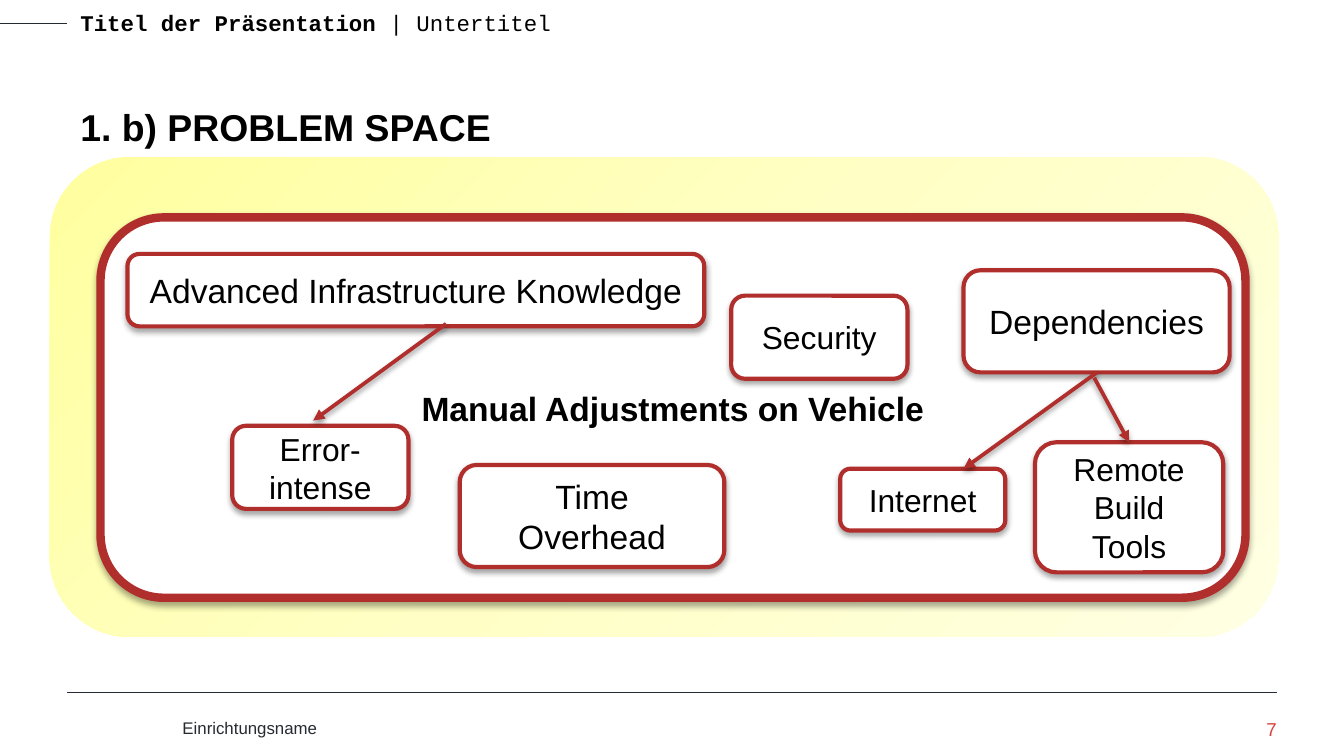
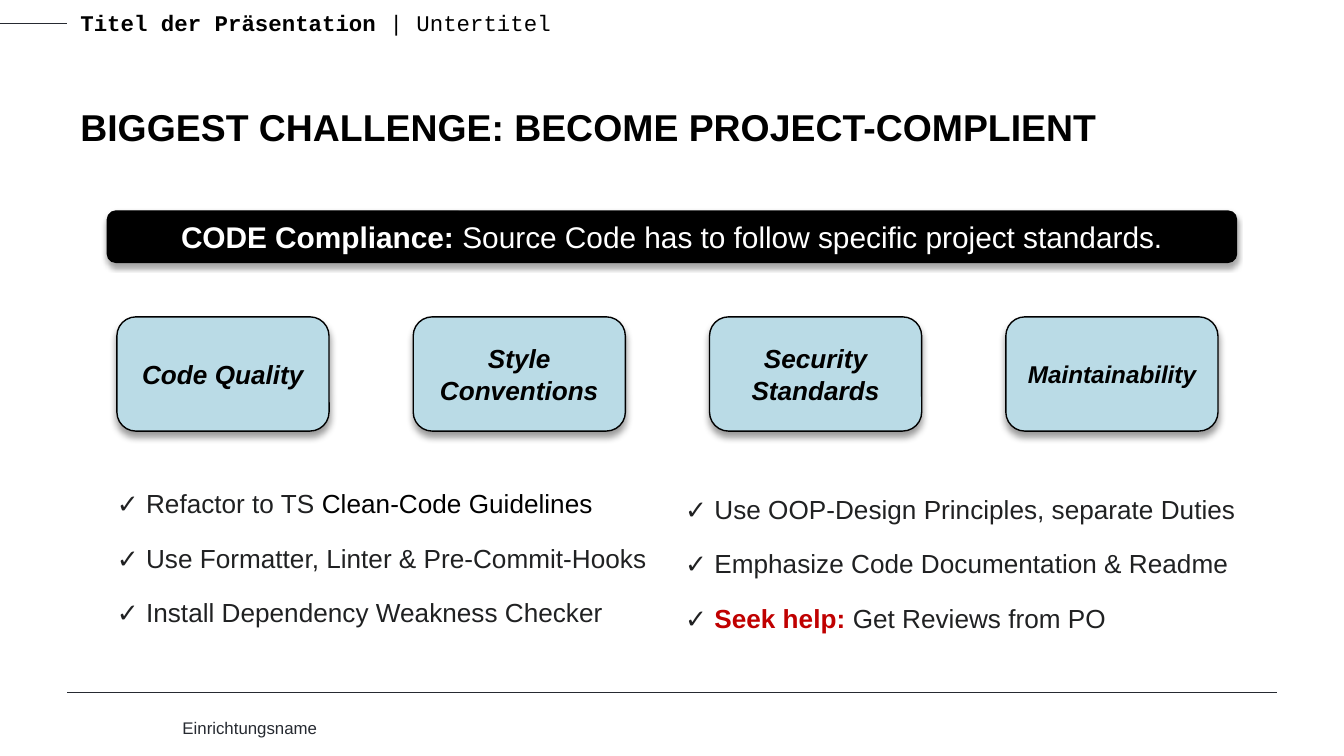
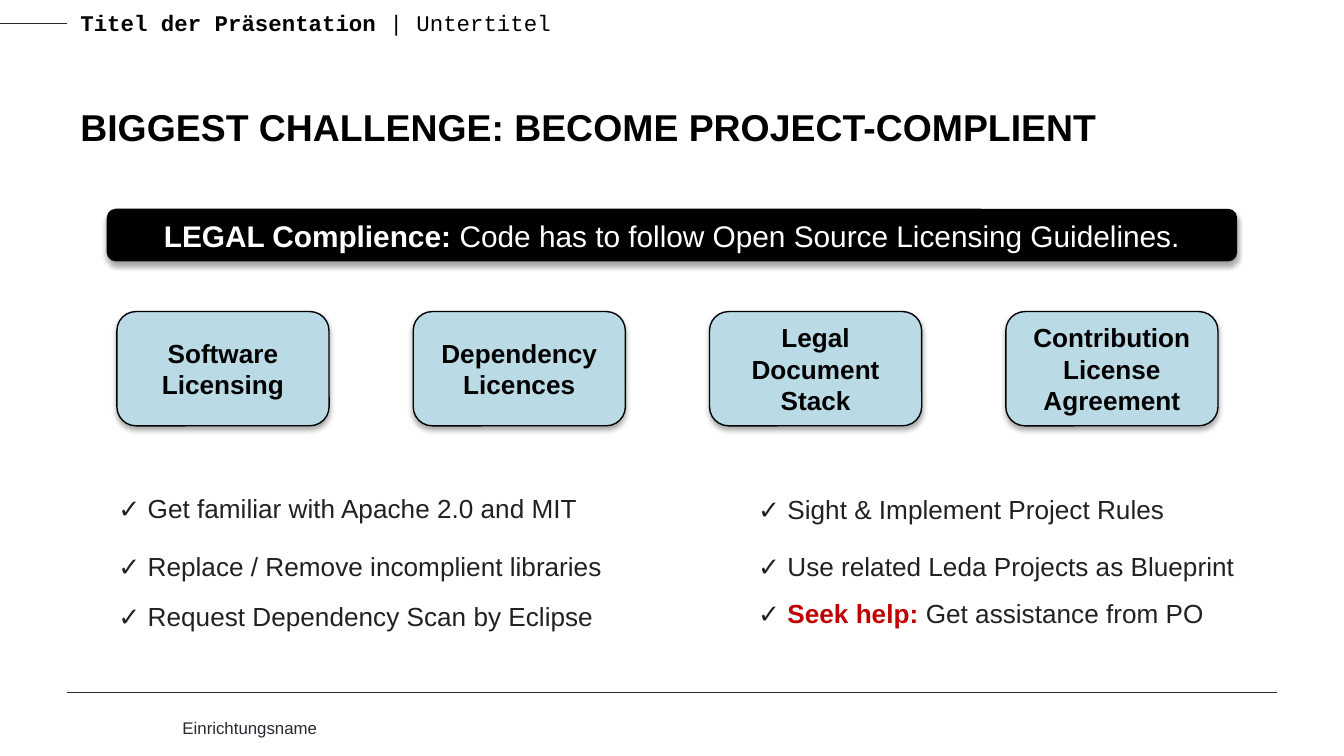
import copy

import lxml.etree
import pptx
import pptx.dml.color
import pptx.enum.shapes
import pptx.enum.text
import pptx.oxml.ns
import pptx.util

Cm = pptx.util.Cm
Pt = pptx.util.Pt
qn = pptx.oxml.ns.qn
ALIGN = pptx.enum.text.PP_ALIGN
ANCHOR = pptx.enum.text.MSO_ANCHOR

BLACK, WHITE, INK, BODY = "000000", "FFFFFF", "262A31", "202122"
RED, DARK_RED, ALERT, CARD_BLUE = "D8413E", "B02F2C", "C00000", "BADBE6"
GLOW = [(0, "FFFFA0"), (0.5, "FFFFC5"), (1, "FFFFE3")]

# Shadows: opacity in percent, blur and distance in points
SOFT_SHADOW = (35, 3.1, 1.8)
DEEP_SHADOW = (40, 4, 3)
ARROW_SHADOW = (38, 3.1, 1.6)

# Boxes are left, top, width, height in centimetres
PROBLEM_TITLE = "1. b) PROBLEM SPACE"
PROBLEM_NUMBER = "7"
GLOW_BOX = (0.94, 2.97, 23.22, 9.07)
FRAME = ("Manual Adjustments on Vehicle", (1.9, 4.11, 21.64, 7.19))
PROBLEMS = [  # text, font size, box
    ("Advanced Infrastructure Knowledge", 18, (2.41, 4.8, 10.9, 1.37)),
    ("Time Overhead", 18, (8.69, 8.79, 5, 1.93)),
    ("Error-intense", 17, (4.39, 8.05, 3.33, 1.57)),
    ("Dependencies", 18, (18.21, 5.11, 5.03, 1.93)),
    ("Internet", 17, (15.88, 8.86, 3.12, 1.17)),
    ("Remote Build Tools", 17, (19.56, 8.36, 3.56, 2.46)),
    ("Security", 17, (13.82, 5.59, 3.33, 1.57)),
]
ARROWS = [
    ((20.73, 7.04), (18.21, 8.86)),
    ((20.68, 7.14), (21.34, 8.36)),
    ((8.43, 6.12), (5.92, 7.95)),
]

CHALLENGE_TITLE = "BIGGEST CHALLENGE: BECOME PROJECT-COMPLIENT"
CHALLENGES = [
    {
        "banner": ("CODE Compliance: ", "Source Code has to follow specific project standards."),
        "banner_top": 3.99,
        "cards": [("Code Quality", 14), ("Style Conventions", 14),
                  ("Security Standards", 14), ("Maintainability", 13)],
        "card_top": 5.99,
        "italic": True,
        "shadow": DEEP_SHADOW,
        "columns": [  # left, tops of the rows, text runs of the rows
            (2.21, (8.92, 9.96, 10.97), [
                [("Refactor to TS ", False, BODY), ("Clean-Code Guidelines", False, BLACK)],
                [("Use Formatter, Linter & Pre-Commit-Hooks", False, BODY)],
                [("Install Dependency Weakness Checker", False, BODY)],
            ]),
            (12.95, (9.04, 10.06, 11.1), [
                [("Use OOP-Design Principles, separate Duties", False, BODY)],
                [("Emphasize Code Documentation & Readme", False, BODY)],
                [("Seek help: ", True, ALERT), ("Get Reviews from PO", False, BODY)],
            ]),
        ],
    },
    {
        "banner": ("LEGAL Complience: ", "Code has to follow Open Source Licensing Guidelines."),
        "banner_top": 3.96,
        "cards": [("Software Licensing", 14), ("Dependency Licences", 14),
                  ("Legal Document Stack", 14), ("Contribution License Agreement", 14)],
        "card_top": 5.89,
        "italic": False,
        "shadow": SOFT_SHADOW,
        "columns": [
            (2.24, (9.02, 10.11, 11.05), [
                [("Get familiar with Apache 2.0 and MIT", False, BODY)],
                [("Replace / Remove incomplient libraries", False, BODY)],
                [("Request Dependency Scan by Eclipse", False, BODY)],
            ]),
            (14.33, (9.04, 10.11, 11), [
                [("Sight & Implement Project Rules", False, BODY)],
                [("Use related Leda Projects as Blueprint", False, BODY)],
                [("Seek help: ", True, ALERT), ("Get assistance from PO", False, BODY)],
            ]),
        ],
    },
]
CARD_LEFT, CARD_PITCH, CARD_WIDTH, CARD_HEIGHT = 2.21, 5.6, 4.01, 2.16


def rgb(color):
    return pptx.dml.color.RGBColor.from_string(color)


def cm_box(box):
    return [Cm(length) for length in box]


def write(shape, runs, size, font="Arial", italic=False, align=ALIGN.LEFT,
          anchor=ANCHOR.TOP, spacing=None, inset=True):
    """Fill a shape with one paragraph of (text, bold, colour) runs."""
    frame = shape.text_frame
    frame.word_wrap = True
    frame.vertical_anchor = anchor
    if not inset:
        frame.margin_left = frame.margin_top = frame.margin_right = frame.margin_bottom = 0
    paragraph = frame.paragraphs[0]
    paragraph.alignment = align
    paragraph.line_spacing = spacing
    paragraph.font.name = font
    paragraph.font.size = Pt(size)
    paragraph.font.italic = italic
    for text, bold, color in runs:
        run = paragraph.add_run()
        run.text = text
        run.font.bold = bold
        run.font.color.rgb = rgb(color)


def add_text(slide, box, runs, size, **style):
    write(slide.shapes.add_textbox(*cm_box(box)), runs, size, **style)


def cast_shadow(effects, opacity, blur, distance):
    shadow = lxml.etree.SubElement(
        effects, qn("a:outerShdw"), blurRad=str(Pt(blur)), dist=str(Pt(distance)),
        dir="5400000", rotWithShape="0")
    color = lxml.etree.SubElement(shadow, qn("a:srgbClr"), val=BLACK)
    lxml.etree.SubElement(color, qn("a:alpha"), val=str(opacity * 1000))


def add_rounded(slide, box):
    shape = slide.shapes.add_shape(
        pptx.enum.shapes.MSO_SHAPE.ROUNDED_RECTANGLE, *cm_box(box))
    shape.shadow.inherit = False
    return shape


def add_box(slide, box, runs, size, fill, line, line_width, shadow=SOFT_SHADOW, italic=False):
    shape = add_rounded(slide, box)
    shape.fill.solid()
    shape.fill.fore_color.rgb = rgb(fill)
    shape.line.color.rgb = rgb(line)
    shape.line.width = Pt(line_width)
    cast_shadow(shape._element.spPr.find(qn("a:effectLst")), *shadow)
    write(shape, runs, size, italic=italic, align=ALIGN.CENTER, anchor=ANCHOR.MIDDLE)


def add_glow(slide):
    shape = add_rounded(slide, GLOW_BOX)
    shape.line.fill.background()
    shape.fill.gradient()
    shape.fill.gradient_angle = 315
    stops = shape._element.spPr.find(".//" + qn("a:gsLst"))
    stops.insert(1, copy.deepcopy(stops[0]))
    for stop, (position, color) in zip(shape.fill.gradient_stops, GLOW):
        stop.position = position
        stop.color.rgb = rgb(color)


def add_line(slide, start, end, color, width, arrow=False):
    line = slide.shapes.add_connector(
        pptx.enum.shapes.MSO_CONNECTOR.STRAIGHT, *cm_box(start + end))
    line.line.color.rgb = rgb(color)
    line.line.width = Pt(width)
    properties = line._element.spPr
    effects = lxml.etree.SubElement(properties, qn("a:effectLst"))
    if arrow:
        lxml.etree.SubElement(properties.find(qn("a:ln")), qn("a:tailEnd"), type="triangle")
        cast_shadow(effects, *ARROW_SHADOW)


def add_slide(presentation, title, number=None):
    """Add a blank slide with the shared header, title and footer."""
    slide = presentation.slides.add_slide(presentation.slide_layouts[6])
    add_line(slide, (0, 0.43), (1.27, 0.43), INK, 0.25)
    add_text(slide, (1.27, 0.05, 19.46, 0.76),
             [("Titel der Präsentation ", True, BLACK), ("| Untertitel", False, BLACK)],
             12, font="Courier New")
    add_line(slide, (1.27, 13.08), (24.13, 13.08), INK, 0.25)
    add_text(slide, (3.2, 13.44, 18.85, 0.64), [("Einrichtungsname", False, INK)], 9)
    add_text(slide, (1.27, 0.84, 22.89, 2.11), [(title, True, BLACK)], 20, anchor=ANCHOR.BOTTOM)
    if number:
        add_text(slide, (22.07, 13.56, 2.06, 0.56), [(number, False, RED)], 10,
                 align=ALIGN.RIGHT, inset=False)
    return slide


def add_problem_slide(presentation):
    slide = add_slide(presentation, PROBLEM_TITLE, PROBLEM_NUMBER)
    add_glow(slide)
    text, box = FRAME
    add_box(slide, box, [(text, True, BLACK)], 18, WHITE, DARK_RED, 4.5)
    for text, size, box in PROBLEMS:
        add_box(slide, box, [(text, False, BLACK)], size, WHITE, DARK_RED, 2.25)
    for start, end in ARROWS:
        add_line(slide, start, end, DARK_RED, 2, arrow=True)


def add_challenge_slide(presentation, challenge):
    slide = add_slide(presentation, CHALLENGE_TITLE)
    topic, rule = challenge["banner"]
    add_box(slide, (2.03, challenge["banner_top"], 21.34, 0.97),
            [(topic, True, WHITE), (rule, False, WHITE)], 16, BLACK, BLACK, 0.75)
    for index, (text, size) in enumerate(challenge["cards"]):
        box = (CARD_LEFT + index * CARD_PITCH, challenge["card_top"], CARD_WIDTH, CARD_HEIGHT)
        add_box(slide, box, [(text, True, BLACK)], size, CARD_BLUE, BLACK, 0.75,
                challenge["shadow"], challenge["italic"])
    for left, tops, rows in challenge["columns"]:
        for top, runs in zip(tops, rows):
            add_text(slide, (left, top, 10.6, 0.79), [("✓ ", True, BODY)] + runs, 14,
                     spacing=1.5, inset=False)


def main():
    presentation = pptx.Presentation()
    presentation.slide_width = Cm(25.4)
    presentation.slide_height = Cm(14.29)
    add_problem_slide(presentation)
    for challenge in CHALLENGES:
        add_challenge_slide(presentation, challenge)
    presentation.save("out.pptx")


if __name__ == "__main__":
    main()
